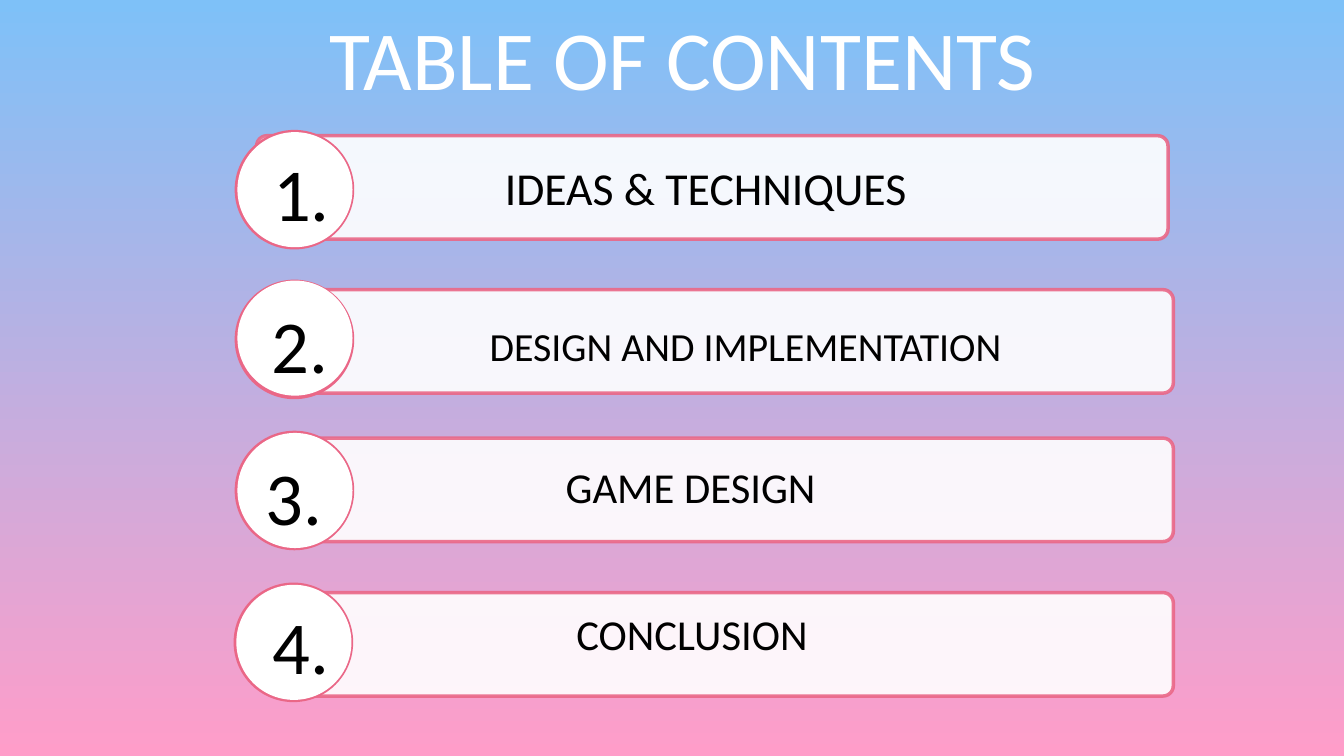
from lxml import etree
from pptx import Presentation
from pptx import util as u
from pptx.dml.color import RGBColor
from pptx.enum import shapes, text
from pptx.oxml.ns import qn

TITLE = "TABLE OF CONTENTS"
PINK, WHITE, BLACK = "EA6787", "FFFFFF", "000000"
SKY, ROSE = "7EC1F8", "FF9DC9"

# Lengths in cm. bar: left, top, right; ring: centre x, y; disc_y: disc centre;
# number and label: centre x, top; size and leading of the label in points
ENTRIES = [
    dict(number="1.", label="IDEAS & TECHNIQUES", bar=(9.7, 5.13, 44.15),
         ring=(11.13, 7.17), disc_y=7.17, number_at=(11.4, 5.0),
         label_at=(26.67, 6.2), size=49, leading=53.9),
    dict(number="2.", label="DESIGN AND IMPLEMENTATION", bar=(10.36, 10.95, 44.35),
         ring=(11.13, 12.83), disc_y=12.78, number_at=(11.34, 10.74),
         label_at=(28.19, 12.29), size=42.7, leading=47),
    dict(number="3.", label="GAME DESIGN", bar=(9.98, 16.56, 44.35),
         ring=(11.13, 18.54), disc_y=18.54, number_at=(11.11, 16.46),
         label_at=(26.11, 17.58), size=45.7, leading=50.3),
    dict(number="4.", label="CONCLUSION", bar=(10.21, 22.4, 44.35),
         ring=(11.09, 24.28), disc_y=24.28, number_at=(11.37, 22.1),
         label_at=(26.16, 23.14), size=45.7, leading=50.3),
]
BAR_HEIGHT, CORNER = 3.91, 0.1
RING, DISC, RING_BAND = 4.52, 3.9, 0.08
OPACITY = "90000"


def rgb(value):
    return RGBColor.from_string(value)


def add_shape(kind, left, top, width, height, fill):
    shape = slide.shapes.add_shape(kind, *map(u.Cm, (left, top, width, height)))
    shape.shadow.inherit = False
    shape.fill.solid()
    shape.fill.fore_color.rgb = rgb(fill)
    return shape


def add_circle(kind, x, y, diameter, fill):
    return add_shape(kind, x - diameter / 2, y - diameter / 2, diameter, diameter, fill)


def outline(shape, color, width):
    shape.line.color.rgb = rgb(color)
    shape.line.width = u.Pt(width)


def add_text(words, center, top, width, height, size, leading, color=BLACK):
    box = slide.shapes.add_textbox(*map(u.Cm, (center - width / 2, top, width, height)))
    frame = box.text_frame
    frame.word_wrap = True
    frame.margin_left = frame.margin_right = frame.margin_top = frame.margin_bottom = 0
    paragraph = frame.paragraphs[0]
    paragraph.alignment = text.PP_ALIGN.CENTER
    paragraph.line_spacing = u.Pt(leading)
    run = paragraph.add_run()
    run.text = words
    run.font.name = "Calibri"
    run.font.size = u.Pt(size)
    run.font.color.rgb = rgb(color)


prs = Presentation()
prs.slide_width, prs.slide_height = u.Cm(50.8), u.Cm(28.575)
slide = prs.slides.add_slide(prs.slide_layouts[6])

# Background, running from top to bottom
background = slide.background.fill
background.gradient()
background.gradient_angle = 270
for stop, color, position in zip(background.gradient_stops, (SKY, ROSE), (0, 1)):
    stop.color.rgb = rgb(color)
    stop.position = position

# Title
add_text(TITLE, 25.8, 0.56, 50, 3.81, 90, 99, WHITE)

for entry in ENTRIES:
    # Translucent bar
    left, top, right = entry["bar"]
    bar = add_shape(shapes.MSO_SHAPE.ROUNDED_RECTANGLE, left, top, right - left,
                    BAR_HEIGHT, WHITE)
    bar.adjustments[0] = CORNER
    outline(bar, PINK, 3.75)
    for color in bar._element.spPr.iter(qn("a:srgbClr")):
        etree.SubElement(color, qn("a:alpha")).set("val", OPACITY)
    add_text(entry["label"], *entry["label_at"], 28, 3.5, entry["size"], entry["leading"])

    # Numbered badge
    x, y = entry["ring"]
    ring = add_circle(shapes.MSO_SHAPE.DONUT, x, y, RING, PINK)
    ring.adjustments[0] = RING_BAND
    ring.line.fill.background()
    disc = add_circle(shapes.MSO_SHAPE.OVAL, x + 0.02, entry["disc_y"], DISC, WHITE)
    outline(disc, WHITE, 12.75)
    add_text(entry["number"], *entry["number_at"], 10.2, 3.86, 80, 112)

prs.save("out.pptx")
